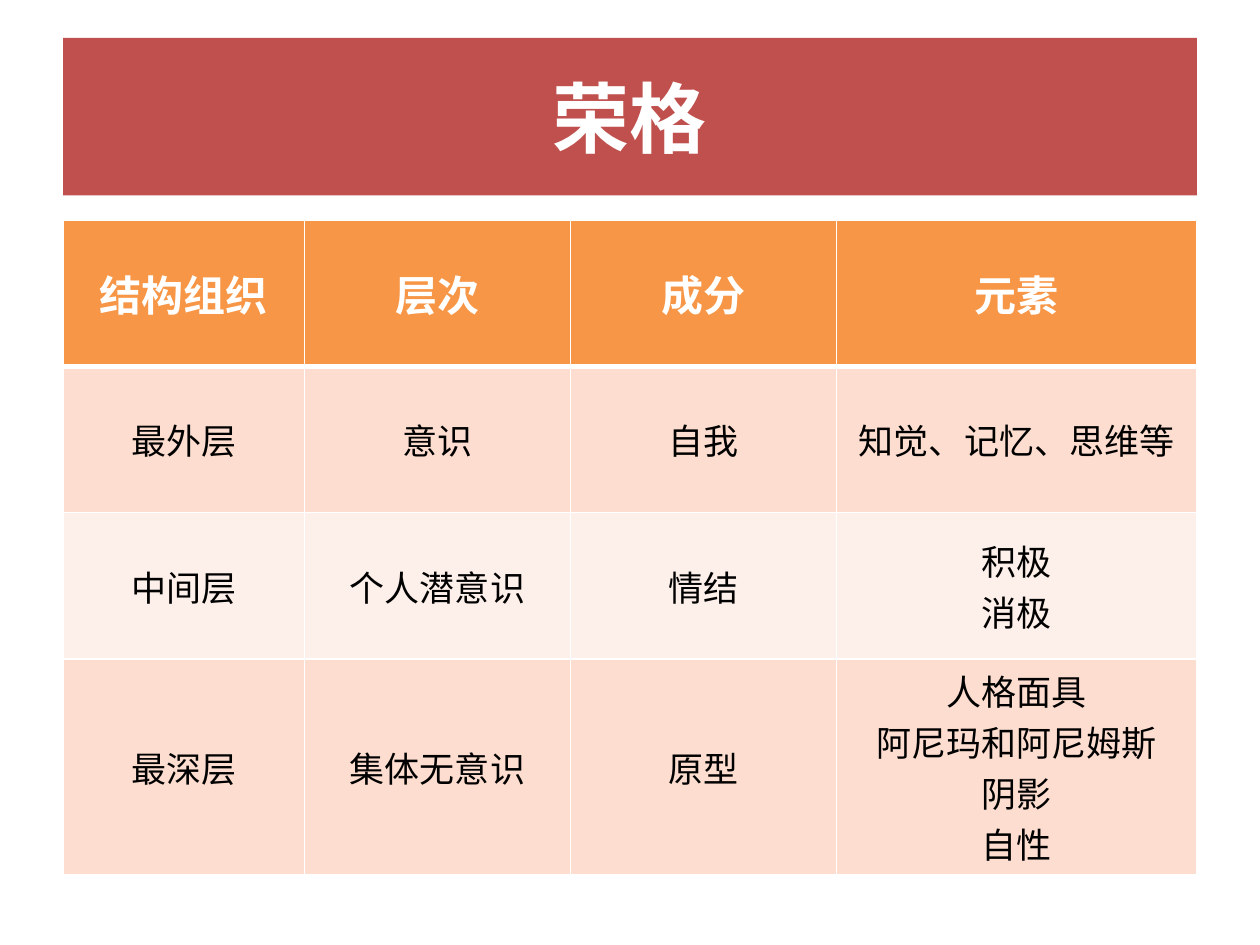
from lxml import etree
from pptx import Presentation
from pptx.dml.color import RGBColor
from pptx.enum.text import MSO_ANCHOR, PP_ALIGN
from pptx.oxml.ns import qn
from pptx.util import Pt

CENTER = PP_ALIGN.CENTER
MIDDLE = MSO_ANCHOR.MIDDLE
WHITE = "FFFFFF"


def paint(color_format, hex_color):
    color_format.rgb = RGBColor.from_string(hex_color)


def format_text(text_frame, size, hex_color, bold):
    for paragraph in text_frame.paragraphs:
        paragraph.alignment = CENTER
        for run in paragraph.runs:
            run.font.name = "Calibri"
            run.font.size = Pt(size)
            run.font.bold = bold
            paint(run.font.color, hex_color)


prs = Presentation()
prs.slide_width = Pt(720)
prs.slide_height = Pt(540)
slide = prs.slides.add_slide(prs.slide_layouts[5])

title = slide.shapes.title
title.left, title.top, title.width, title.height = Pt(36), Pt(21.6), Pt(648), Pt(90)
title.fill.solid()
paint(title.fill.fore_color, "C0504D")
title.text_frame.text = "荣格"
title.text_frame.vertical_anchor = MIDDLE
format_text(title.text_frame, 44, WHITE, True)

layers = [
    ["结构组织", "层次", "成分", "元素"],
    ["最外层", "意识", "自我", "知觉、记忆、思维等"],
    ["中间层", "个人潜意识", "情结", "积极\n消极"],
    ["最深层", "集体无意识", "原型", "人格面具\n阿尼玛和阿尼姆斯\n阴影\n自性"],
]
row_fills = ["F79646", "FCDDCF", "FDEFE9", "FCDDCF"]
column_widths = [138, 152, 152, 206]
row_height = 83.5

table = slide.shapes.add_table(
    len(layers), len(column_widths), Pt(36), Pt(126), Pt(648), Pt(row_height * len(layers))
).table
for column, width in zip(table.columns, column_widths):
    column.width = Pt(width)

for r, (layer, row_fill) in enumerate(zip(layers, row_fills)):
    table.rows[r].height = Pt(row_height)
    header = r == 0
    for c, text in enumerate(layer):
        cell = table.cell(r, c)
        cell.text_frame.text = text
        cell.vertical_anchor = MIDDLE
        format_text(cell.text_frame, 24 if header else 20, WHITE if header else "000000", header)
        cell_properties = cell._tc.get_or_add_tcPr()
        for side in ("lnL", "lnR", "lnT", "lnB"):
            under_header = (r, side) in ((0, "lnB"), (1, "lnT"))
            border = etree.SubElement(
                cell_properties, qn(f"a:{side}"), w=str(Pt(3 if under_header else 1))
            )
            border_fill = etree.SubElement(border, qn("a:solidFill"))
            etree.SubElement(border_fill, qn("a:srgbClr"), val=WHITE)
        cell.fill.solid()
        paint(cell.fill.fore_color, row_fill)

prs.save("out.pptx")
